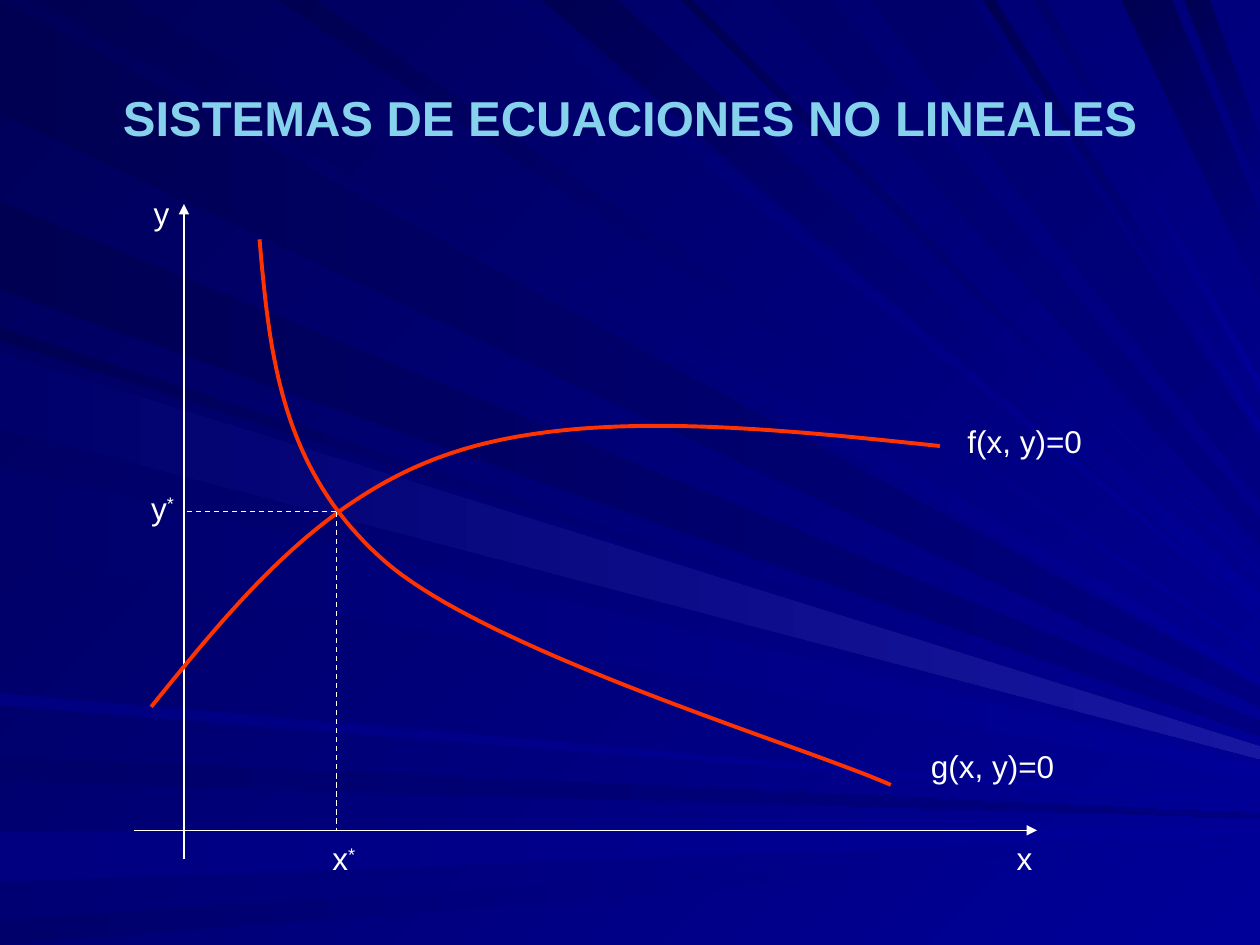
"""Build the slide on systems of nonlinear equations."""
from dataclasses import dataclass

from lxml import etree
from pptx import Presentation
from pptx.dml.color import RGBColor
from pptx.enum.dml import MSO_LINE
from pptx.enum.shapes import MSO_CONNECTOR
from pptx.enum.text import MSO_ANCHOR, MSO_AUTO_SIZE, PP_ALIGN
from pptx.oxml.ns import qn
from pptx.util import Inches, Pt

DASH, STRAIGHT = MSO_LINE.DASH, MSO_CONNECTOR.STRAIGHT
CENTER, MIDDLE = PP_ALIGN.CENTER, MSO_ANCHOR.MIDDLE
FIT_SHAPE = MSO_AUTO_SIZE.SHAPE_TO_FIT_TEXT
WIDTH, HEIGHT = 10, 7.5
FONT = "Arial"
WHITE, TITLE_BLUE, CURVE_RED = "FFFFFF", "86D1EC", "FF3300"
DEEP, SOFT, NAVY, BLUE, GLOW = "000053", "00006B", "000080", "000099", "1717A2"
AXIS_X, AXIS_Y = 1.46, 6.59
ROOT_X, ROOT_Y = 2.67, 4.06
FOCUS_X, FOCUS_Y = 12, 6.55
Point = tuple[float, float]


@dataclass(frozen=True)
class Beam:
    """A background beam from a span of the left or top edge to the focus."""
    start: float
    end: float
    dark: str
    light: str


@dataclass(frozen=True)
class Segment:
    """A straight white line."""
    begin: Point
    end: Point
    arrow: bool = False
    dashed: bool = False


@dataclass(frozen=True)
class Label:
    """A text label with an optional superscript."""
    left: float
    top: float
    width: float
    text: str
    superscript: str = ""


LEFT_BEAMS = (
    Beam(0, 0.9, DEEP, NAVY),
    Beam(1.6, 2.3, DEEP, NAVY),
    Beam(2.6, 2.7, DEEP, BLUE),
    Beam(2.8, 3.4, SOFT, GLOW),
    Beam(3.7, 4.4, SOFT, BLUE),
    Beam(5.5, 5.6, NAVY, BLUE),
    Beam(6, 6.2, SOFT, NAVY),
    Beam(6.6, 7, NAVY, BLUE),
    Beam(7.3, 7.5, SOFT, BLUE),
)
TOP_BEAMS = (
    Beam(0.3, 1, DEEP, BLUE),
    Beam(2.2, 2.5, DEEP, BLUE),
    Beam(4, 4.2, SOFT, BLUE),
    Beam(4.3, 4.9, DEEP, BLUE),
    Beam(5.4, 5.5, DEEP, BLUE),
    Beam(6.1, 6.6, SOFT, NAVY),
    Beam(6.9, 7.7, SOFT, NAVY),
    Beam(7.8, 7.9, DEEP, BLUE),
    Beam(8.2, 8.3, SOFT, BLUE),
    Beam(8.9, 9.3, DEEP, NAVY),
    Beam(9.4, 9.6, DEEP, NAVY),
)
CURVES = (
    ((1.2, 5.61), (1.88, 4.77), (2.56, 3.93), (3.6, 3.59), (4.64, 3.25), (6.05, 3.39), (7.46, 3.54)),
    ((2.06, 1.9), (2.14, 2.82), (2.23, 3.74), (3.06, 4.46), (3.89, 5.18), (6.4, 5.93), (7.07, 6.23)),
)
AXES = (
    Segment((AXIS_X, 6.82), (AXIS_X, 1.62), arrow=True),
    Segment((1.06, AXIS_Y), (8.23, AXIS_Y), arrow=True),
)
GUIDES = (
    Segment((ROOT_X, ROOT_Y), (ROOT_X, AXIS_Y), dashed=True),
    Segment((ROOT_X, ROOT_Y), (AXIS_X, ROOT_Y), dashed=True),
)
LABELS = (
    Label(7.58, 3.3, 1.11, "f(x, y)=0"),
    Label(7.29, 5.88, 1.18, "g(x, y)=0"),
    Label(7.97, 6.61, 0.32, "x"),
    Label(1.12, 1.49, 0.32, "y"),
    Label(2.54, 6.61, 0.38, "x", "*"),
    Label(1.1, 3.83, 0.38, "y", "*"),
)


def color(value: str) -> RGBColor:
    return RGBColor.from_string(value)


def paint(fill, start: str, end: str, angle: int) -> None:
    fill.gradient()
    fill.gradient_angle = (360 - angle) % 360
    for stop, value, position in zip(fill.gradient_stops, (start, end), (0, 1)):
        stop.color.rgb = color(value)
        stop.position = position


def add_outline(shapes, points, close: bool):
    corners = [(Inches(x), Inches(y)) for x, y in points]
    builder = shapes.build_freeform(*corners[0], scale=1.0)
    builder.add_line_segments(corners[1:], close=close)
    shape = builder.convert_to_shape()
    shape.shadow.inherit = False
    return shape


def at_right_edge(point: Point) -> Point:
    """Return where the line from a point to the focus leaves the slide."""
    x, y = point
    return WIDTH, y + (FOCUS_Y - y) * (WIDTH - x) / (FOCUS_X - x)


def add_beam(shapes, beam: Beam, from_top: bool) -> None:
    first, last = [(place, 0) if from_top else (0, place) for place in (beam.start, beam.end)]
    points = (first, at_right_edge(first), at_right_edge(last), last)
    shape = add_outline(shapes, points, True)
    paint(shape.fill, beam.dark, beam.light, 45 if from_top else 0)
    shape.line.fill.background()


def bezier(controls, share: float) -> Point:
    rest = 1 - share
    weights = (rest ** 3, 3 * share * rest ** 2, 3 * share ** 2 * rest, share ** 3)
    return tuple(sum(w * p[axis] for w, p in zip(weights, controls)) for axis in (0, 1))


def add_curve(shapes, controls: tuple[Point, ...], steps: int = 40) -> None:
    points = [controls[0]]
    for first in range(0, len(controls) - 1, 3):
        points += [bezier(controls[first:first + 4], step / steps) for step in range(1, steps + 1)]
    shape = add_outline(shapes, points, False)
    shape.fill.background()
    shape.line.color.rgb = color(CURVE_RED)
    shape.line.width = Pt(2.25)


def add_segment(shapes, segment: Segment) -> None:
    ends = [Inches(value) for value in segment.begin + segment.end]
    connector = shapes.add_connector(STRAIGHT, *ends)
    connector.line.color.rgb = color(WHITE)
    connector.line.width = Pt(0.75)
    if segment.dashed:
        connector.line.dash_style = DASH
    properties = connector._element.spPr
    if segment.arrow:
        etree.SubElement(properties.find(qn("a:ln")), qn("a:tailEnd"), type="triangle")
    etree.SubElement(properties, qn("a:effectLst"))


def add_run(paragraph, text: str, size: float, value: str, bold: bool = False):
    run = paragraph.add_run()
    run.text = text
    run.font.name, run.font.size, run.font.bold = FONT, Pt(size), bold
    run.font.color.rgb = color(value)
    return run


def add_label(shapes, label: Label) -> None:
    box = shapes.add_textbox(Inches(label.left), Inches(label.top), Inches(label.width), Inches(0.4))
    box.text_frame.word_wrap = False
    box.text_frame.auto_size = FIT_SHAPE
    paragraph = box.text_frame.paragraphs[0]
    add_run(paragraph, label.text, 18, WHITE)
    if label.superscript:
        run = add_run(paragraph, label.superscript, 18, WHITE)
        run._r.get_or_add_rPr().set("baseline", "30000")


def format_title(title) -> None:
    title.left, title.top, title.width, title.height = map(Inches, (0.5, 0.3, 9, 1.25))
    title.text_frame.vertical_anchor = MIDDLE
    paragraph = title.text_frame.paragraphs[0]
    paragraph.alignment = CENTER
    add_run(paragraph, "SISTEMAS DE ECUACIONES NO LINEALES", 28, TITLE_BLUE, True)


def main() -> None:
    presentation = Presentation()
    presentation.slide_width, presentation.slide_height = Inches(WIDTH), Inches(HEIGHT)
    slide = presentation.slides.add_slide(presentation.slide_layouts[5])
    paint(slide.background.fill, "000058", BLUE, 45)
    title = slide.shapes.title
    format_title(title)
    backdrop = slide.shapes.add_group_shape()
    for beams, from_top in ((LEFT_BEAMS, False), (TOP_BEAMS, True)):
        for beam in beams:
            add_beam(backdrop.shapes, beam, from_top)
    title._element.addprevious(backdrop._element)
    for draw, items in ((add_segment, AXES), (add_curve, CURVES), (add_label, LABELS), (add_segment, GUIDES)):
        for item in items:
            draw(slide.shapes, item)
    presentation.save("out.pptx")


if __name__ == "__main__":
    main()
